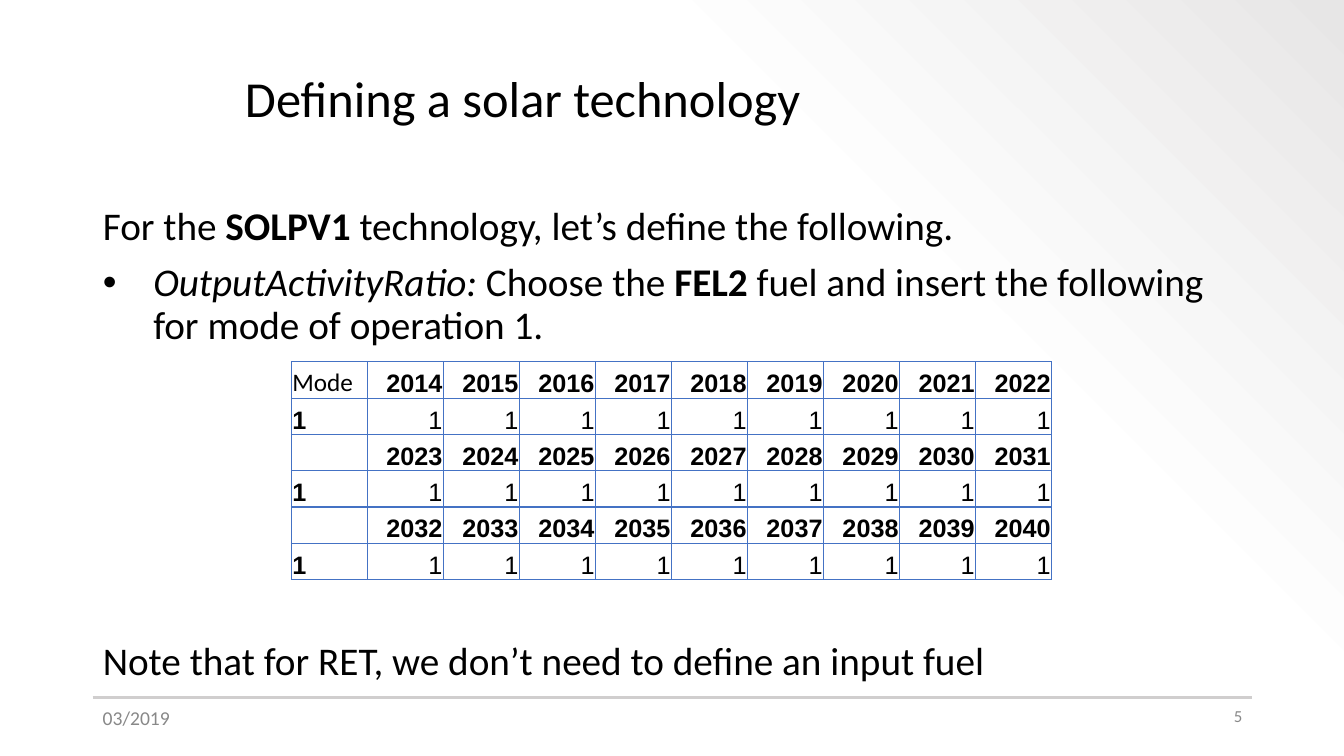
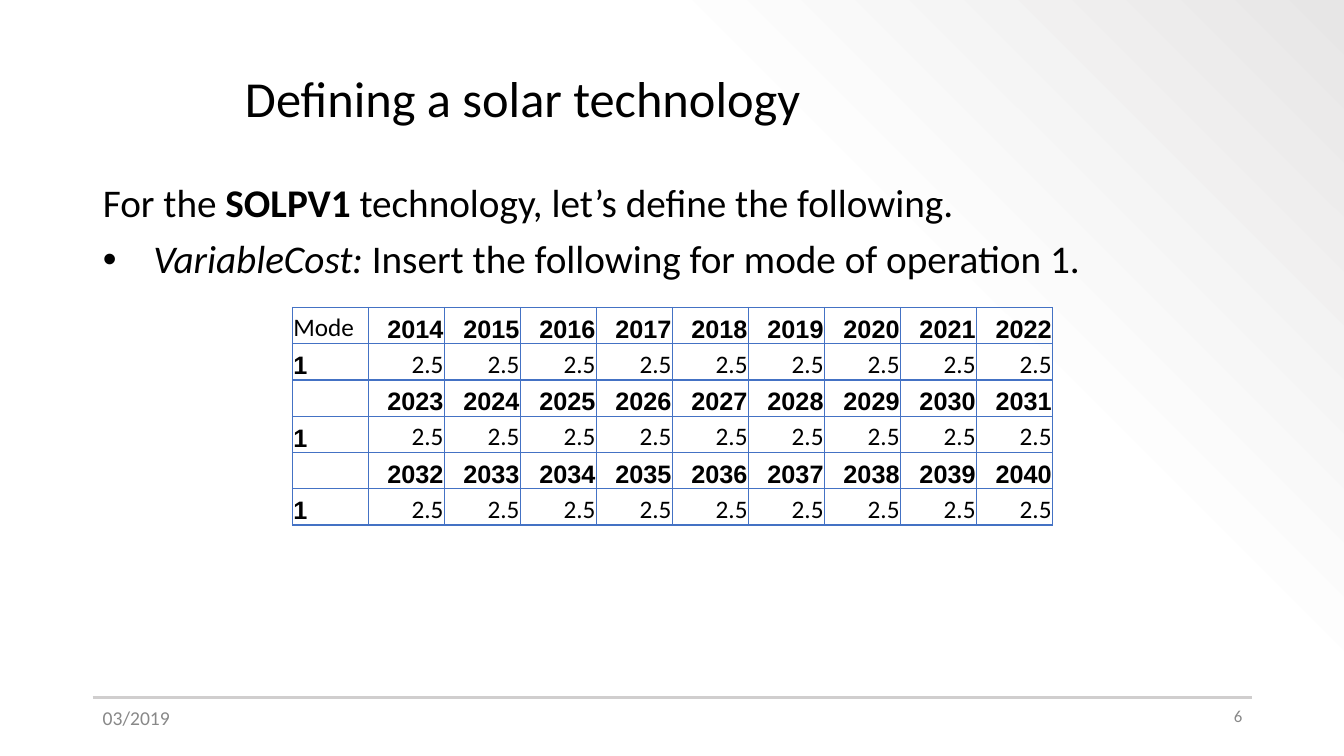
import copy
from dataclasses import dataclass

import pptx
import pptx.dml.color
import pptx.enum.text
import pptx.oxml
import pptx.oxml.ns
import pptx.oxml.xmlchemy
import pptx.presentation
import pptx.shapes.base
import pptx.slide
import pptx.table
import pptx.text.text
import pptx.util
from pptx.util import Inches

COLORS = {
    "text": "000000",
    "footer": "888888",
    "rule": "D0CECE",
    "grid": "4472C4",
    "fade_start": "FFFFFF",
    "fade_middle": "FDFDFD",
    "fade_end": "E7E6E6",
}
BODY_FONT = "Calibri"
TABLE_FONT = "Arial"
TITLE = "Defining a solar technology"
DATE = "03/2019"
FIRST_YEAR = 2014
YEARS_PER_BAND = 9
BANDS = 3
LEFT = 0.92
RIGHT = 12.42
FOOTER_TOP = 6.95
FOOTER_WIDTH = 1.3

Align = pptx.enum.text.PP_ALIGN
Anchor = pptx.enum.text.MSO_ANCHOR


@dataclass(frozen=True)
class Span:
    text: str
    bold: bool = False
    italic: bool = False


@dataclass(frozen=True)
class Para:
    spans: tuple[Span, ...]
    bullet: bool = False
    space_before: float = 10


@dataclass(frozen=True)
class Box:
    left: float
    top: float
    width: float
    height: float


@dataclass(frozen=True)
class Page:
    number: int
    body: Box
    paras: tuple[Para, ...]
    table: Box
    value: str
    value_font: str


INTRO = Para(
    (Span("For the "), Span("SOLPV1 ", bold=True), Span("technology, let’s define the following.")),
    space_before=0,
)
PAGES = (
    Page(
        number=5,
        body=Box(LEFT, 2, 11.48, 5.18),
        paras=(
            INTRO,
            Para(
                (
                    Span("OutputActivityRatio: ", italic=True),
                    Span("Choose the "),
                    Span("FEL2", bold=True),
                    Span(" fuel and insert the following for mode of operation 1."),
                ),
                bullet=True,
            ),
            Para((Span("Note that for RET, we don’t need to define an input fuel"),), space_before=210),
        ),
        table=Box(2.89, 3.59, 7.54, 2.16),
        value="1",
        value_font=TABLE_FONT,
    ),
    Page(
        number=6,
        body=Box(LEFT, 1.77, 11.5, 4.98),
        paras=(
            INTRO,
            Para(
                (
                    Span("VariableCost: ", italic=True),
                    Span("Insert the following for mode of operation 1."),
                ),
                bullet=True,
            ),
        ),
        table=Box(2.9, 3.05, 7.54, 2.16),
        value="2.5",
        value_font=BODY_FONT,
    ),
)


def rgb(name: str) -> pptx.dml.color.RGBColor:
    return pptx.dml.color.RGBColor.from_string(COLORS[name])


def add_element(
    parent: pptx.oxml.xmlchemy.BaseOxmlElement, tag: str, **attributes: str
) -> pptx.oxml.xmlchemy.BaseOxmlElement:
    child = pptx.oxml.parse_xml(f"<{tag} {pptx.oxml.ns.nsdecls('a')}/>")
    for name, value in attributes.items():
        child.set(name, value)
    parent.append(child)
    return child


def style_run(
    run: pptx.text.text._Run, size: float, color: str = "text", font: str = BODY_FONT,
    bold: bool = False, italic: bool = False,
) -> None:
    run.font.size = pptx.util.Pt(size)
    run.font.name = font
    run.font.bold = bold
    run.font.italic = italic
    run.font.color.rgb = rgb(color)


def place(shape: pptx.shapes.base.BaseShape, box: Box) -> None:
    shape.left, shape.top = Inches(box.left), Inches(box.top)
    shape.width, shape.height = Inches(box.width), Inches(box.height)


def set_background(deck: pptx.presentation.Presentation) -> None:
    """Fade the master background towards the top right corner."""
    master = deck.slide_master
    fill = master.background.fill
    fill.gradient()
    fill.gradient_angle = 45
    stop_list = master.element.xpath(".//p:bg//a:gsLst")[0]
    stop_list.insert(1, copy.deepcopy(stop_list[0]))
    stops = (("fade_start", 0), ("fade_middle", 0.69), ("fade_end", 1))
    for stop, (color, position) in zip(fill.gradient_stops, stops):
        stop.color.rgb = rgb(color)
        stop.position = position
    add_element(stop_list[-1][0], "a:alpha", val="50000")


def add_footer_text(slide: pptx.slide.Slide, left: float, text: str, size: float, align: Align) -> None:
    box = slide.shapes.add_textbox(
        Inches(left), Inches(FOOTER_TOP), Inches(FOOTER_WIDTH), Inches(0.4)
    )
    box.text_frame.word_wrap = True
    box.text_frame.text = text
    para = box.text_frame.paragraphs[0]
    para.alignment = align
    style_run(para.runs[0], size, "footer")


def add_footer(slide: pptx.slide.Slide, number: int) -> None:
    rule = slide.shapes.add_connector(
        pptx.enum.shapes.MSO_CONNECTOR.STRAIGHT,
        Inches(LEFT), Inches(6.92), Inches(RIGHT), Inches(6.92),
    )
    rule.line.color.rgb = rgb("rule")
    rule.line.width = pptx.util.Pt(1.5)
    add_element(rule.element.spPr, "a:effectLst")
    add_footer_text(slide, LEFT, DATE, 14, Align.LEFT)
    add_footer_text(slide, RIGHT - FOOTER_WIDTH, str(number), 12, Align.RIGHT)


def set_title(slide: pptx.slide.Slide) -> None:
    title = slide.shapes.title
    place(title, Box(2.33, 0.4, 10.08, 1.2))
    frame = title.text_frame
    frame.text = TITLE
    frame.auto_size = pptx.enum.text.MSO_AUTO_SIZE.NONE
    frame.vertical_anchor = Anchor.MIDDLE
    para = frame.paragraphs[0]
    para.alignment = Align.LEFT
    para.line_spacing = 0.9
    style_run(para.runs[0], 36)


def set_bullet(para: pptx.text.text._Paragraph, bullet: bool) -> None:
    properties = para._p.get_or_add_pPr()
    indent = Inches(0.5) if bullet else 0
    properties.set("marL", str(indent))
    properties.set("indent", str(-indent))
    if bullet:
        add_element(add_element(properties, "a:buClr"), "a:srgbClr", val=COLORS["text"])
        add_element(properties, "a:buFont", typeface="Arial")
        add_element(properties, "a:buChar", char="•")
    else:
        add_element(properties, "a:buNone")


def set_body(slide: pptx.slide.Slide, page: Page) -> None:
    body = slide.placeholders[1]
    place(body, page.body)
    frame = body.text_frame
    frame.auto_size = pptx.enum.text.MSO_AUTO_SIZE.NONE
    frame.vertical_anchor = Anchor.TOP
    for index, content in enumerate(page.paras):
        para = frame.add_paragraph() if index else frame.paragraphs[0]
        set_bullet(para, content.bullet)
        para.line_spacing = 0.9
        para.space_before = pptx.util.Pt(content.space_before)
        for span in content.spans:
            run = para.add_run()
            run.text = span.text
            style_run(run, 28, bold=span.bold, italic=span.italic)


def format_cell(cell: pptx.table._Cell) -> None:
    """Give a cell narrow margins, no fill and a thin outline."""
    cell.margin_left = cell.margin_right = cell.margin_top = Inches(0.01)
    cell.margin_bottom = 0
    cell.vertical_anchor = Anchor.BOTTOM
    properties = cell._tc.get_or_add_tcPr()
    for side in ("a:lnL", "a:lnR", "a:lnT", "a:lnB"):
        line = add_element(properties, side, w=str(pptx.util.Pt(1)))
        add_element(add_element(line, "a:solidFill"), "a:srgbClr", val=COLORS["grid"])
    cell.fill.background()


def add_year_table(slide: pptx.slide.Slide, page: Page) -> None:
    """Alternate a row of years with a row of values for mode 1."""
    area = page.table
    table = slide.shapes.add_table(
        2 * BANDS, YEARS_PER_BAND + 1,
        Inches(area.left), Inches(area.top), Inches(area.width), Inches(area.height),
    ).table
    table.first_row = table.horz_banding = False
    for row_index, row in enumerate(table.rows):
        band, is_value_row = divmod(row_index, 2)
        for column, cell in enumerate(row.cells):
            format_cell(cell)
            font, bold = TABLE_FONT, True
            if column == 0 and is_value_row:
                text = "1"
            elif column == 0:
                text = "" if band else "Mode"
                font, bold = BODY_FONT, False
            elif is_value_row:
                text, font, bold = page.value, page.value_font, False
            else:
                text = str(FIRST_YEAR + band * YEARS_PER_BAND + column - 1)
            if text:
                cell.text_frame.text = text
                para = cell.text_frame.paragraphs[0]
                para.alignment = Align.RIGHT if column else Align.LEFT
                style_run(para.runs[0], 18, font=font, bold=bold)


def main() -> None:
    deck = pptx.Presentation()
    deck.slide_width, deck.slide_height = Inches(13.33), Inches(7.5)
    set_background(deck)
    for page in PAGES:
        slide = deck.slides.add_slide(deck.slide_layouts[1])
        set_title(slide)
        set_body(slide, page)
        add_year_table(slide, page)
        add_footer(slide, page.number)
    deck.save("out.pptx")


if __name__ == "__main__":
    main()
